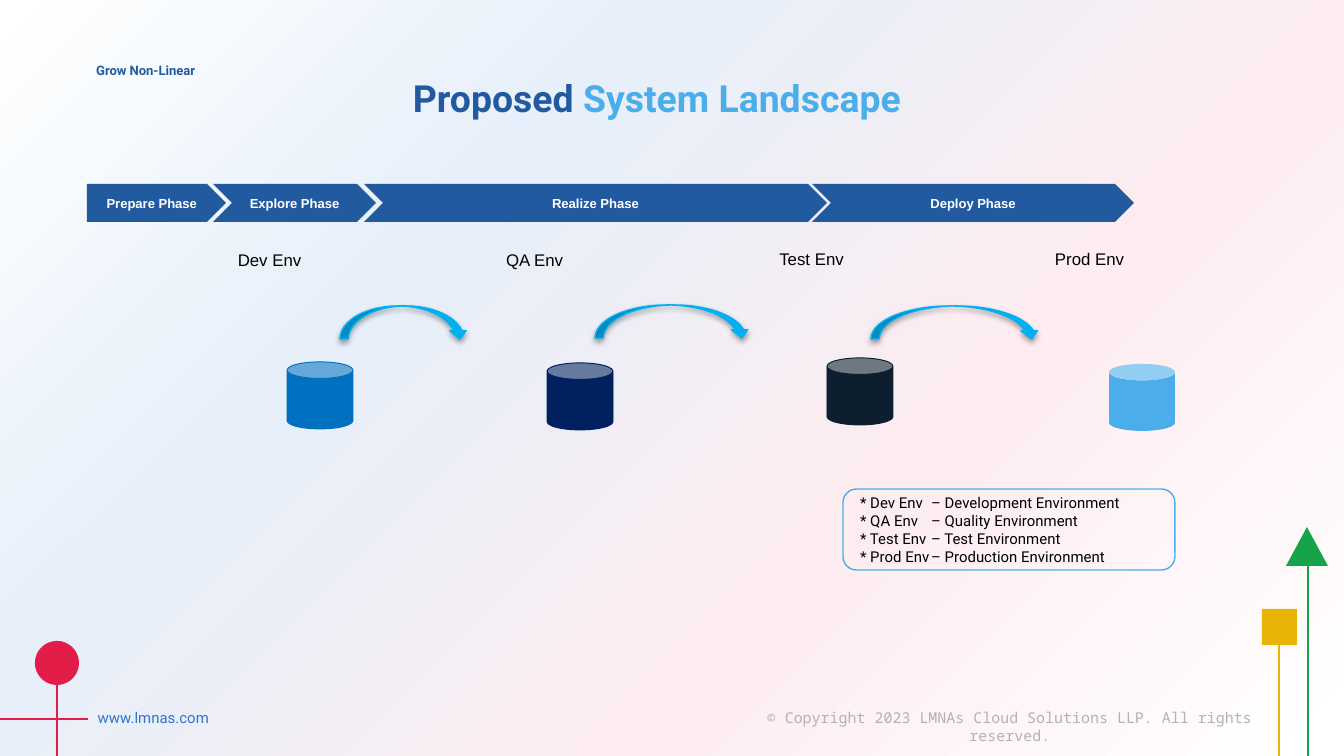
from dataclasses import dataclass
from typing import NamedTuple, Optional

from lxml.etree import SubElement
from pptx import Presentation
from pptx.dml.color import RGBColor
from pptx.enum.shapes import MSO_CONNECTOR, MSO_SHAPE
from pptx.enum.text import MSO_ANCHOR, MSO_AUTO_SIZE, PP_ALIGN
from pptx.oxml.ns import qn
from pptx.util import Emu, Pt

SLIDE_W, SLIDE_H = 1344, 756
EMU_PER_PX = 9144000 / SLIDE_W
NAVY, SKY, CYAN = "225AA0", "4BADE9", "00B0F0"
GREEN, RED, YELLOW = "16A34A", "E11D48", "EAB308"
BLACK, WHITE = "000000", "FFFFFF"


class Box(NamedTuple):
    x: int
    y: int
    w: int
    h: int


class Style(NamedTuple):
    size: int
    font: str
    color: str
    bold: bool = False


@dataclass
class Phase:
    name: str
    x: int
    w: int


@dataclass
class Env:
    name: str
    meaning: str
    label_x: int
    label_y: int
    can_x: int
    can_y: int
    color: str
    outlined: bool = True


BACKGROUND = [(0, WHITE), (32, "E6EFFA"), (66, "FDEDF0"), (100, WHITE)]
PHASES = [
    Phase("Prepare Phase", 87, 139),
    Phase("Explore Phase", 213, 163),
    Phase("Realize Phase", 364, 463),
    Phase("Deploy Phase", 812, 322),
]
ENVS = [
    Env("Dev Env", "Development Environment", 192, 243, 287, 362, "0070C0"),
    Env("QA Env", "Quality Environment", 457, 243, 547, 363, "002060"),
    Env("Test Env", "Test Environment", 734, 242, 827, 358, "0D1E2E"),
    Env("Prod Env", "Production Environment", 1012, 242, 1109, 364, SKY, False),
]
TRANSFERS = [Box(340, 306, 128, 33), Box(595, 305, 155, 33), Box(871, 306, 169, 33)]
TEXTS = [
    ("Grow Non-Linear", Box(83, 56, 512, 30), Style(7, "Roboto", NAVY, True), PP_ALIGN.LEFT),
    ("© Copyright 2023 LMNAs Cloud Solutions LLP. All rights reserved.",
     Box(730, 702, 560, 50), Style(8, "Noto Sans Mono", "B2B2B2"), PP_ALIGN.CENTER),
    ("www.lmnas.com", Box(77, 702, 153, 32), Style(8, "Roboto", "2C75CE"), PP_ALIGN.CENTER),
]
MARKERS = [
    (MSO_SHAPE.ISOSCELES_TRIANGLE, Box(1286, 527, 42, 39), GREEN),
    (MSO_SHAPE.RECTANGLE, Box(1262, 609, 35, 36), YELLOW),
    (MSO_SHAPE.OVAL, Box(35, 641, 44, 44), RED),
]
STEMS = [
    (1308, 566, 1308, SLIDE_H, GREEN),
    (1279, 645, 1279, SLIDE_H, YELLOW),
    (57, 685, 57, SLIDE_H, RED),
    (0, 719, 88, 719, RED),
]


def px(n: float) -> Emu:
    return Emu(round(n * EMU_PER_PX))


def rgb(color: str) -> RGBColor:
    return RGBColor.from_string(color)


def format_run(r, style: Style) -> None:
    r.font.size = Pt(style.size)
    r.font.name = style.font
    r.font.bold = style.bold
    r.font.color.rgb = rgb(style.color)


def format_text(tf, style: Style, align: PP_ALIGN) -> None:
    for p in tf.paragraphs:
        p.alignment = align
        for r in p.runs:
            format_run(r, style)


def add_text(slide, text: str, box: Box, style: Style, align: PP_ALIGN) -> None:
    tf = slide.shapes.add_textbox(*map(px, box)).text_frame
    tf.word_wrap = True
    tf.text = text
    format_text(tf, style, align)


def add_shape(slide, kind: MSO_SHAPE, box: Box, fill: Optional[str] = None,
              line: Optional[str] = None, width: float = 0.75):
    sp = slide.shapes.add_shape(kind, *map(px, box))
    sp.shadow.inherit = False
    if fill:
        sp.fill.solid()
        sp.fill.fore_color.rgb = rgb(fill)
    else:
        sp.fill.background()
    if line:
        sp.line.color.rgb = rgb(line)
        sp.line.width = Pt(width)
    else:
        sp.line.fill.background()
    return sp


def add_line(slide, x1: int, y1: int, x2: int, y2: int, color: str) -> None:
    line = slide.shapes.add_connector(MSO_CONNECTOR.STRAIGHT, *map(px, (x1, y1, x2, y2)))
    line.line.color.rgb = rgb(color)
    line.line.width = Pt(0.75)
    SubElement(line._element.spPr, qn("a:effectLst"))


def add_drop_shadow(sp) -> None:
    effects = sp._element.spPr.find(qn("a:effectLst"))
    shadow = SubElement(effects, qn("a:outerShdw"), blurRad=str(Pt(3.1)),
                        dist=str(Pt(1.6)), dir="5400000", rotWithShape="0")
    color = SubElement(shadow, qn("a:srgbClr"), val=BLACK)
    SubElement(color, qn("a:alpha"), val="38000")


def set_background(slide) -> None:
    fill = slide.background.fill
    fill.gradient()
    fill.gradient_angle = 315
    stops = slide._element.find(".//" + qn("a:gsLst"))
    for stop in list(stops):
        stops.remove(stop)
    for pos, color in BACKGROUND:
        stop = SubElement(stops, qn("a:gs"), pos=str(pos * 1000))
        SubElement(stop, qn("a:srgbClr"), val=color)


def set_title(slide) -> None:
    title = slide.shapes.title
    title.left, title.top, title.width, title.height = map(px, (220, 62, 874, 115))
    tf = title.text_frame
    tf.auto_size = MSO_AUTO_SIZE.NONE
    tf.vertical_anchor = MSO_ANCHOR.TOP
    tf.margin_left = tf.margin_right = tf.margin_top = tf.margin_bottom = Pt(7.2)
    p = tf.paragraphs[0]
    p.alignment = PP_ALIGN.CENTER
    for text, color in (("Proposed ", NAVY), ("System Landscape", SKY)):
        r = p.add_run()
        r.text = text
        format_run(r, Style(20, "Roboto", color, True))


def add_phase(slide, phase: Phase, kind: MSO_SHAPE) -> None:
    sp = add_shape(slide, kind, Box(phase.x, 184, phase.w, 38), NAVY)
    tf = sp.text_frame
    tf.margin_left = tf.margin_right = 0
    tf.text = phase.name
    format_text(tf, Style(7, "Arial", WHITE, True), PP_ALIGN.CENTER)


def add_env(slide, env: Env) -> None:
    add_text(slide, env.name, Box(env.label_x, env.label_y, 155, 34),
             Style(9, "Arial", BLACK), PP_ALIGN.CENTER)
    add_shape(slide, MSO_SHAPE.CAN, Box(env.can_x, env.can_y, 66, 67), env.color,
              env.color if env.outlined else None, 0.5)


def add_legend(slide) -> None:
    tf = add_shape(slide, MSO_SHAPE.ROUNDED_RECTANGLE, Box(843, 489, 332, 81),
                   line=SKY).text_frame
    tf.vertical_anchor = MSO_ANCHOR.MIDDLE
    tf.text = "\n".join(f"* {env.name}\t– {env.meaning}" for env in ENVS)
    for p in tf.paragraphs:
        tabs = SubElement(p._p.get_or_add_pPr(), qn("a:tabLst"))
        SubElement(tabs, qn("a:tab"), pos=str(px(71)), algn="l")
    format_text(tf, Style(8, "Roboto", BLACK), PP_ALIGN.LEFT)


def main() -> None:
    prs = Presentation()
    prs.slide_width, prs.slide_height = px(SLIDE_W), px(SLIDE_H)
    slide = prs.slides.add_slide(prs.slide_layouts[5])
    set_background(slide)
    set_title(slide)
    for text in TEXTS:
        add_text(slide, *text)
    for marker in MARKERS:
        add_shape(slide, *marker)
    for stem in STEMS:
        add_line(slide, *stem)
    for i, phase in enumerate(PHASES):
        add_phase(slide, phase, MSO_SHAPE.CHEVRON if i else MSO_SHAPE.PENTAGON)
    add_legend(slide)
    for env in ENVS:
        add_env(slide, env)
    for box in TRANSFERS:
        add_drop_shadow(add_shape(slide, MSO_SHAPE.CURVED_DOWN_ARROW, box, CYAN, CYAN))
    prs.save("out.pptx")


if __name__ == "__main__":
    main()
